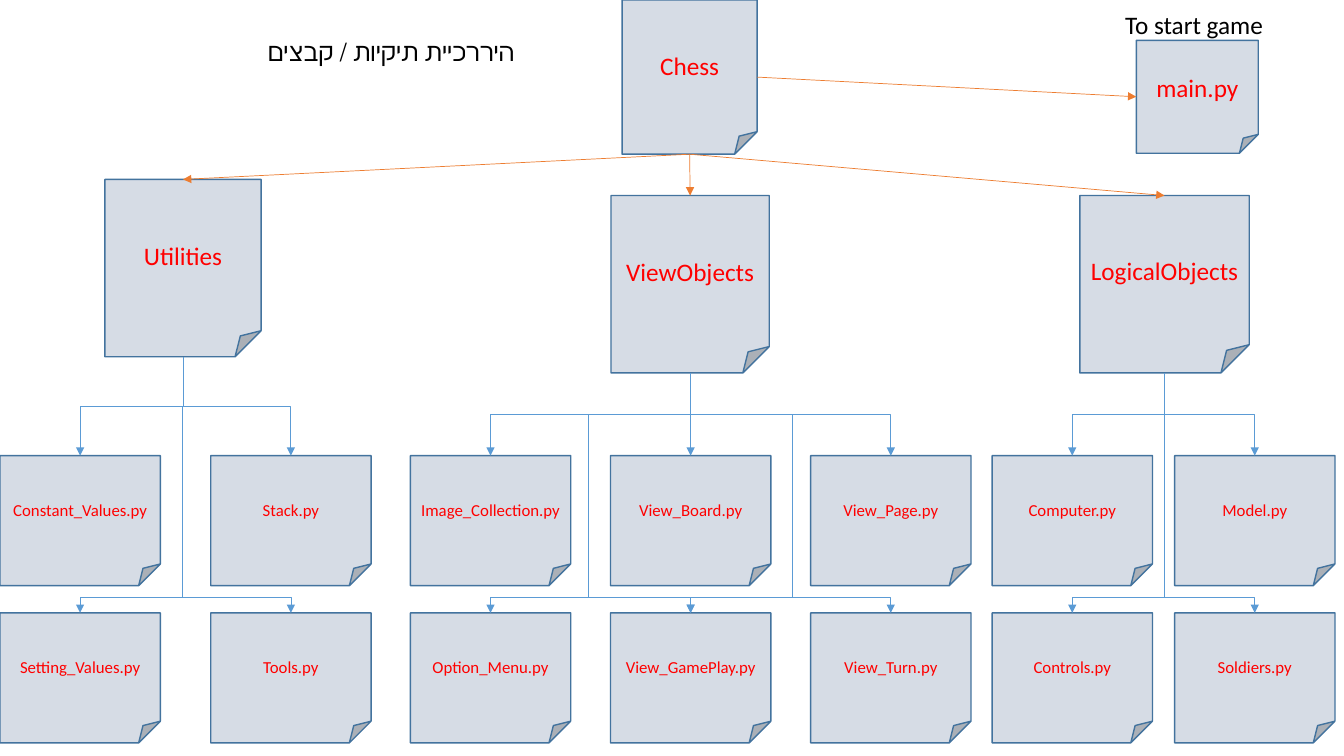
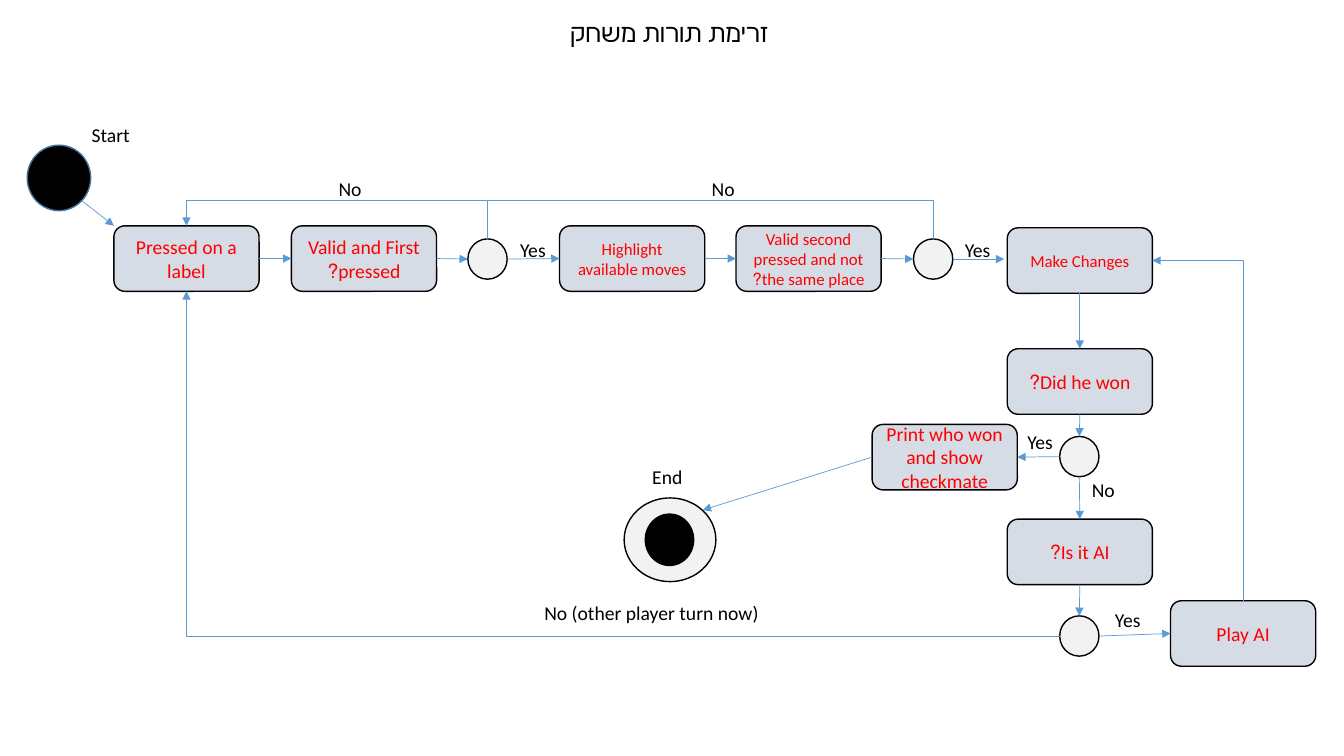
from lxml import etree
from pptx import Presentation
from pptx.dml.color import RGBColor
from pptx.enum.shapes import MSO_CONNECTOR, MSO_SHAPE
from pptx.enum.text import MSO_ANCHOR, PP_ALIGN
from pptx.oxml.ns import qn
from pptx.util import Pt

PX = 9144
FONT = "Calibri"
COLORS = {
    "paper": "D6DCE5",
    "outline": "43739E",
    "label": "FF0000",
    "ink": "000000",
    "junction": "F2F2F2",
    "flow": "5B9BD5",
    "tree": "ED7D31",
}
FOLDED = MSO_SHAPE.FOLDED_CORNER
ROUNDED = MSO_SHAPE.ROUNDED_RECTANGLE
OVAL = MSO_SHAPE.OVAL
CIRCLE = MSO_SHAPE.FLOWCHART_CONNECTOR
STRAIGHT = MSO_CONNECTOR.STRAIGHT
ELBOW = MSO_CONNECTOR.ELBOW
LEFT_ALIGN = PP_ALIGN.LEFT
CENTER = PP_ALIGN.CENTER
RIGHT_ALIGN = PP_ALIGN.RIGHT
MIDDLE = MSO_ANCHOR.MIDDLE
TOP, LEFT, BOTTOM, RIGHT = range(4)
SIDES = {TOP: (0.5, 0), LEFT: (0, 0.5), BOTTOM: (0.5, 1), RIGHT: (1, 0.5)}

FILE_WIDTH, FILE_HEIGHT = 159, 129
RAIL_GAP = 15
STEP_WIDTH, STEP_HEIGHT = 144, 65
JUNCTION_WIDTH, JUNCTION_HEIGHT = 39, 40


def emu(px):
    return round(px * PX)


def color(name):
    return RGBColor.from_string(COLORS[name])


def write(frame, text, size, ink, align, rtl):
    frame.word_wrap = True
    frame.text = text
    paragraph = frame.paragraphs[0]
    paragraph.alignment = align
    if rtl:
        paragraph._p.get_or_add_pPr().set("rtl", "1")
    for run in paragraph.runs:
        run.font.name = FONT
        run.font.size = Pt(size)
        run.font.color.rgb = color(ink)


def add_label(slide, box, text, size=14, align=LEFT_ALIGN, rtl=False):
    label = slide.shapes.add_textbox(*map(emu, box))
    write(label.text_frame, text, size, "ink", align, rtl)


def add_node(slide, kind, box, fill, outline, text="", size=14):
    node = slide.shapes.add_shape(kind, *map(emu, box))
    node.shadow.inherit = False
    node.fill.solid()
    node.fill.fore_color.rgb = color(fill)
    node.line.color.rgb = color(outline)
    node.line.width = Pt(1)
    if text:
        node.text_frame.vertical_anchor = MIDDLE
        write(node.text_frame, text, size, "label", CENTER, True)
    return node


def add_page(slide, box, text, size=18):
    return add_node(slide, FOLDED, box, "paper", "outline", text, size)


def is_point(end):
    return isinstance(end[0], (int, float))


def locate(end):
    if is_point(end):
        return emu(end[0]), emu(end[1])
    node, side = end
    across, down = SIDES[side]
    return round(node.left + node.width * across), round(node.top + node.height * down)


def can_join(end):
    if is_point(end):
        return False
    node, side = end
    return side == TOP or node.auto_shape_type != CIRCLE


def add_link(slide, start, end, ink="flow", arrow=True, kind=STRAIGHT):
    link = slide.shapes.add_connector(kind, *locate(start), *locate(end))
    if can_join(start):
        link.begin_connect(*start)
    if can_join(end):
        link.end_connect(*end)
    link.line.color.rgb = color(ink)
    link.line.width = Pt(0.5)
    if arrow:
        etree.SubElement(link.line._get_or_add_ln(), qn("a:tailEnd"), type="triangle")
    etree.SubElement(link._element.spPr, qn("a:effectLst"))
    return link


def add_elbow(slide, start, end, corners, vertical, bend=None, arrow=True):
    link = add_link(slide, start, end, arrow=arrow, kind=ELBOW)
    (x1, y1), (x2, y2) = locate(start), locate(end)
    width, height = abs(x2 - x1), abs(y2 - y1)
    flip_h, flip_v = x2 < x1, y2 < y1
    if vertical:
        width, height = height, width
        flip_h, flip_v = y2 < y1, x2 > x1
    link.left = (x1 + x2 - width) // 2
    link.top = (y1 + y2 - height) // 2
    link.width, link.height = width, height
    frame = link._element.spPr.find(qn("a:xfrm"))
    frame.set("rot", "5400000" if vertical else "0")
    frame.set("flipH", str(int(flip_h)))
    frame.set("flipV", str(int(flip_v)))
    geometry = link._element.spPr.find(qn("a:prstGeom"))
    geometry.set("prst", f"bentConnector{corners + 1}")
    if bend is not None:
        share = round((emu(bend) - y1) / (y2 - y1) * 100000)
        guides = geometry.find(qn("a:avLst"))
        etree.SubElement(guides, qn("a:gd"), name="adj1", fmla=f"val {share}")


def file_group(slide, box, folder, columns, trunks):
    left, top, width, height = box
    pitch = (width - FILE_WIDTH) / (len(columns) - 1)
    lower_top = top + height - FILE_HEIGHT
    rail = lower_top - RAIL_GAP
    lower_files = []
    for index, (upper_name, lower_name) in enumerate(columns):
        x = left + index * pitch
        upper = add_page(slide, (x, top, FILE_WIDTH, FILE_HEIGHT), upper_name, 12)
        lower = add_page(slide, (x, lower_top, FILE_WIDTH, FILE_HEIGHT), lower_name, 12)
        add_elbow(slide, (folder, BOTTOM), (upper, TOP), 2, vertical=True)
        lower_files.append(lower)
    folder_bottom = (folder.top + folder.height) / PX
    branch = (folder_bottom + top) / 2
    for index, offset in enumerate(trunks):
        x = left + offset
        add_link(slide, (x, branch), (x, rail), arrow=False)
        for lower in lower_files[index:index + 2]:
            add_elbow(slide, (x, rail), (lower, TOP), 1, vertical=False)


def hierarchy_slide(prs):
    slide = prs.slides.add_slide(prs.slide_layouts[6])
    add_label(slide, (146, 31, 374, 40), "היררכיית תיקיות / קבצים", 18, RIGHT_ALIGN, True)
    add_label(slide, (1106, 4, 162, 40), "To start game", 18)
    chess = add_page(slide, (617, 0, 134, 153), "Chess")
    entry = add_page(slide, (1127, 40, 121, 112), "main.py")
    add_link(slide, (chess, RIGHT), (entry, LEFT), "tree")
    groups = [
        ("Utilities", (104, 178, 155, 176), (0, 452, 368, 285),
         [("Constant_Values.py", "Setting_Values.py"), ("Stack.py", "Tools.py")], [181]),
        ("ViewObjects", (606, 194, 157, 176), (407, 452, 556, 285),
         [("Image_Collection.py", "Option_Menu.py"),
          ("View_Board.py", "View_GamePlay.py"),
          ("View_Page.py", "View_Turn.py")], [177, 379]),
        ("LogicalObjects", (1071, 194, 168, 176), (984, 452, 340, 285),
         [("Computer.py", "Controls.py"), ("Model.py", "Soldiers.py")], [171]),
    ]
    for name, folder_box, files_box, columns, trunks in groups:
        folder = add_page(slide, folder_box, name)
        add_link(slide, (chess, BOTTOM), (folder, TOP), "tree")
        file_group(slide, files_box, folder, columns, trunks)


def add_step(slide, left, top, text, size=14):
    box = (left, top, STEP_WIDTH, STEP_HEIGHT)
    return add_node(slide, ROUNDED, box, "paper", "ink", text, size)


def add_junction(slide, left, top):
    box = (left, top, JUNCTION_WIDTH, JUNCTION_HEIGHT)
    return add_node(slide, CIRCLE, box, "junction", "ink")


def move_row(slide, left, top):
    press = add_step(slide, left, top, "Pressed on a label")
    first_check = add_step(slide, left + 176, top, "Valid and First pressed?")
    first_choice = add_junction(slide, left + 351, top + 13)
    highlight = add_step(slide, left + 442, top, "Highlight available moves", 12)
    second_check = add_step(
        slide, left + 617, top, "Valid second pressed and not the same place?", 12)
    second_choice = add_junction(slide, left + 793, top + 13)
    row = [press, first_check, first_choice, highlight, second_check, second_choice]
    for before, after in zip(row, row[1:]):
        add_link(slide, (before, RIGHT), (after, LEFT))
    add_link(slide, (second_choice, RIGHT), (left + 883, top + 33))
    rail = top - 25
    add_elbow(slide, (first_choice, TOP), (press, TOP), 2, vertical=True, bend=rail)
    add_elbow(slide, (second_choice, TOP), (left + 371, rail), 1, vertical=True, arrow=False)
    for x, y, answer in [(213, -53, "No"), (583, -53, "No"), (393, 7, "Yes"), (834, 7, "Yes")]:
        add_label(slide, (left + x, top + y, 72, 34), answer)
    return press


def result_column(slide, left, top):
    change = add_step(slide, left, top, "Make Changes", 12)
    won = add_step(slide, left, top + 120, "Did he won?")
    won_choice = add_junction(slide, left + 52, top + 207)
    is_ai = add_step(slide, left, top + 289, "Is it AI?")
    ai_choice = add_junction(slide, left + 52, top + 385)
    column = [change, won, won_choice, is_ai, ai_choice]
    for before, after in zip(column, column[1:]):
        add_link(slide, (before, BOTTOM), (after, TOP))
    checkmate = add_step(slide, left - 134, top + 195, "Print who won and show checkmate")
    add_link(slide, (won_choice, LEFT), (checkmate, RIGHT))
    play_ai = add_step(slide, left + 162, top + 370, "Play AI")
    add_link(slide, (ai_choice, RIGHT), (play_ai, LEFT))
    add_elbow(slide, (play_ai, TOP), (change, RIGHT), 1, vertical=True)
    for x, y, answer in [(10, 196, "Yes"), (74, 243, "No"), (97, 372, "Yes")]:
        add_label(slide, (left + x, top + y, 72, 34), answer)
    return checkmate, ai_choice


def start_mark(slide, left, top):
    add_node(slide, OVAL, (left, top, 63, 65), "ink", "outline")
    add_label(slide, (left + 54, top - 27, 72, 34), "Start")
    add_link(slide, (left + 54, top + 55), (left + 86, top + 80))


def end_mark(slide, left, top, checkmate):
    add_node(slide, CIRCLE, (left, top, 91, 83), "junction", "ink")
    add_node(slide, CIRCLE, (left + 21, top + 16, 48, 51), "ink", "ink")
    add_label(slide, (left + 18, top - 38, 72, 34), "End")
    add_link(slide, (checkmate, LEFT), (left + 78, top + 12))


def turn_flow_slide(prs):
    slide = prs.slides.add_slide(prs.slide_layouts[6])
    add_label(slide, (477, 12, 374, 40), "זרימת תורות משחק", 18, CENTER, True)
    start_mark(slide, 27, 144)
    press = move_row(slide, 113, 224)
    checkmate, ai_choice = result_column(slide, 999, 226)
    end_mark(slide, 619, 494, checkmate)
    add_elbow(slide, (ai_choice, LEFT), (press, BOTTOM), 1, vertical=False)
    add_label(slide, (530, 591, 237, 34), "No (other player turn now)")


def main():
    prs = Presentation()
    prs.slide_width, prs.slide_height = emu(1333), emu(750)
    hierarchy_slide(prs)
    turn_flow_slide(prs)
    prs.save("out.pptx")


if __name__ == "__main__":
    main()
